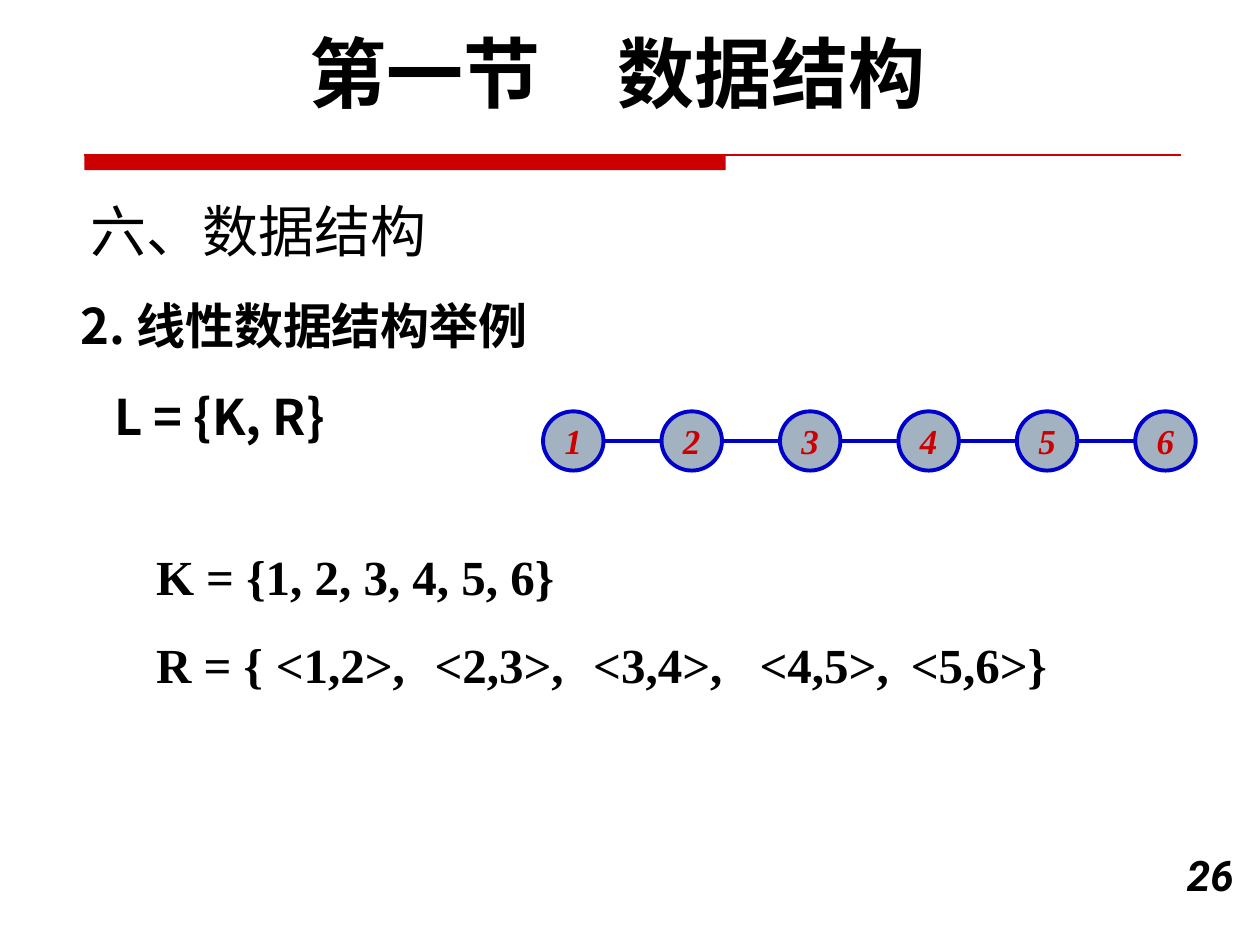
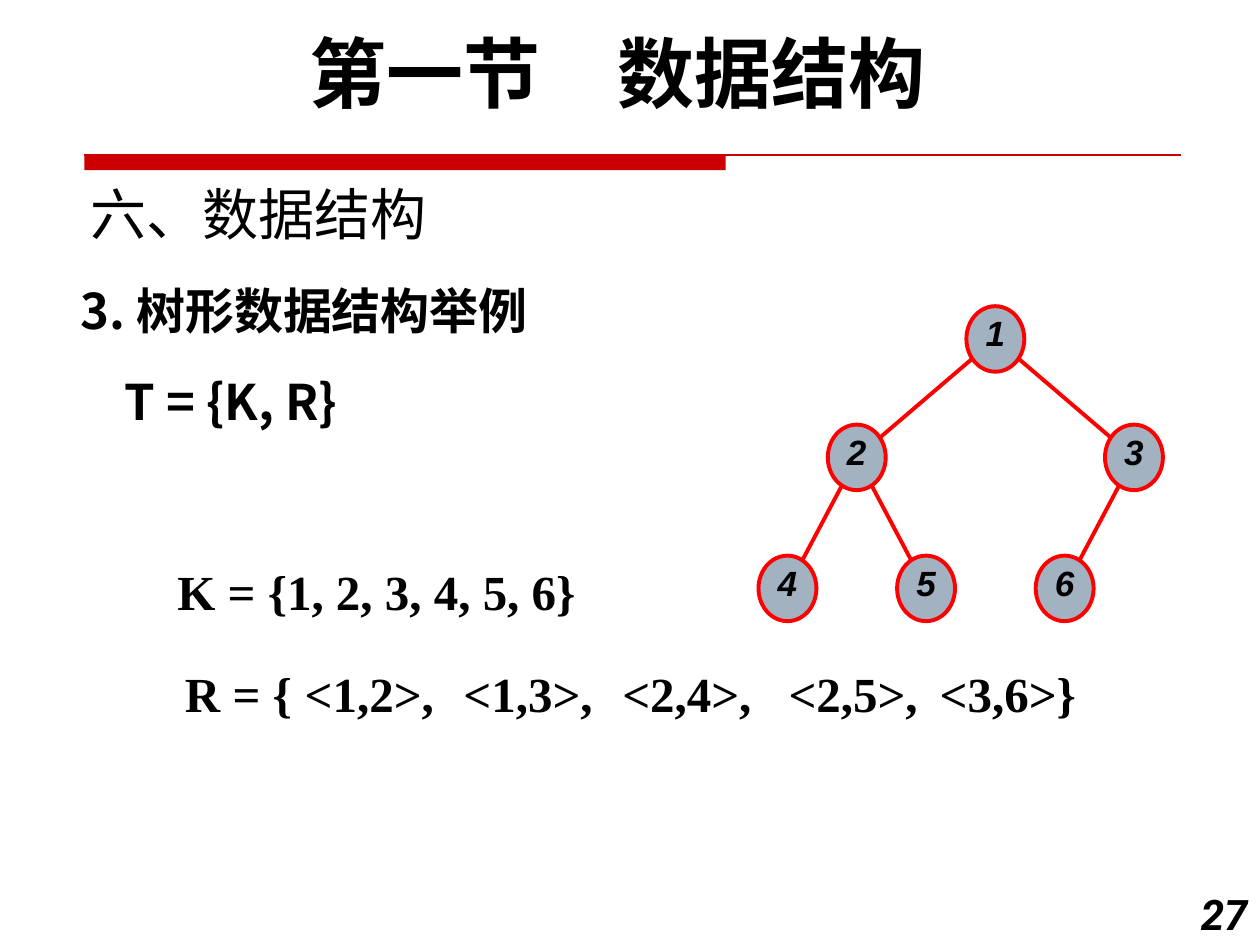
"""Build two slides on linear and tree data structures."""
from dataclasses import dataclass

import pptx
import pptx.dml.color
import pptx.enum.shapes
import pptx.enum.text
import pptx.util
from lxml import etree
from pptx.oxml.ns import qn
from pptx.util import Inches

ALIGN = pptx.enum.text.PP_ALIGN
ANCHOR = pptx.enum.text.MSO_ANCHOR
SHAPE = pptx.enum.shapes.MSO_SHAPE


@dataclass(frozen=True)
class Theme:
    """Colours, fonts and type sizes shared by the slides."""
    ink: str = "000000"
    band: str = "CC0000"
    node_fill: str = "A3B2C1"
    chain_line: str = "0000CC"
    tree_line: str = "FF0000"
    chinese: str = "Noto Sans CJK SC"
    display: str = "Roboto"
    formula: str = "Times New Roman"
    tree_label: str = "Arial"
    heading_size: int = 44
    title_size: int = 32
    body_size: int = 28
    page_size: int = 24
    node_size: int = 20
    node_weight: float = 2.25
    band_weight: float = 0.75


@dataclass(frozen=True)
class NodeStyle:
    """Look of the nodes and edges of one diagram."""
    width: float
    height: float
    line: str
    font: str
    ink: str
    trim: float
    bottom: float = 0


THEME = Theme()
CHAIN = NodeStyle(0.48, 0.47, THEME.chain_line, THEME.formula, THEME.band, 0.25)
TREE = NodeStyle(0.46, 0.52, THEME.tree_line, THEME.tree_label, THEME.ink, 0.1, 0.1)
PAIR_OFFSETS = (0.95, 2.21, 3.47, 4.79, 5.99)


def rgb(code):
    """Return a colour from its hexadecimal code."""
    return pptx.dml.color.RGBColor.from_string(code)


def style_paragraph(paragraph, font_name, size, color=THEME.ink, bold=True,
                    italic=False, align=ALIGN.LEFT):
    """Set the font and alignment of a paragraph."""
    paragraph.alignment = align
    font = paragraph.font
    font.name, font.size = font_name, pptx.util.Pt(size)
    font.bold, font.italic = bold, italic
    font.color.rgb = rgb(color)
    east_asian = etree.SubElement(font._element, qn("a:ea"))
    east_asian.set("typeface", THEME.chinese)


def add_text(slide, box, lines, font_name, size, **style):
    """Add a wrapping text box and return its paragraphs."""
    frame = slide.shapes.add_textbox(*map(Inches, box)).text_frame
    frame.word_wrap = True
    frame.text = "\n".join(lines)
    for paragraph in frame.paragraphs:
        style_paragraph(paragraph, font_name, size, **style)
    return frame.paragraphs


def add_line(slide, start, end, color, weight):
    """Draw a straight line without a shadow."""
    line = slide.shapes.add_connector(
        pptx.enum.shapes.MSO_CONNECTOR.STRAIGHT, *map(Inches, (*start, *end)))
    line.line.color.rgb = rgb(color)
    line.line.width = pptx.util.Pt(weight)
    etree.SubElement(line._element.spPr, qn("a:effectLst"))


def add_band(slide):
    """Draw the red band and thin rule under the heading."""
    band = slide.shapes.add_shape(
        SHAPE.RECTANGLE, *map(Inches, (0.67, 1.23, 5.09, 0.12)))
    band.shadow.inherit = False
    band.fill.solid()
    band.fill.fore_color.rgb = rgb(THEME.band)
    band.line.fill.background()
    add_line(slide, (0.67, 1.23), (9.37, 1.23), THEME.band, THEME.band_weight)


def add_slide(presentation, title_top, page, page_corner):
    """Add a slide with heading, band, title and page number."""
    slide = presentation.slides.add_slide(presentation.slide_layouts[5])
    add_band(slide)
    title = slide.shapes.title
    title.left, title.top, title.width, title.height = map(
        Inches, (0.62, title_top, 6.75, 0.75))
    frame = title.text_frame
    frame.text = "六、数据结构"
    frame.vertical_anchor = ANCHOR.BOTTOM
    frame.auto_size = pptx.enum.text.MSO_AUTO_SIZE.NONE
    style_paragraph(frame.paragraphs[0], THEME.chinese, THEME.title_size, bold=False)
    add_text(slide, (0.28, 0.15, 9.25, 0.84), ["第一节\u3000数据结构".replace("\u3000", "　")],
             THEME.display, THEME.heading_size, align=ALIGN.CENTER)
    add_text(slide, (*page_corner, 0.67, 0.5), [page], THEME.display,
             THEME.page_size, italic=True, align=ALIGN.RIGHT)
    return slide


def add_example(slide, top, heading, definition, indent):
    """Add the example heading and the definition under it."""
    paragraphs = add_text(slide, (0.54, top, 9, 1.3), [heading, definition],
                          THEME.chinese, THEME.body_size)
    paragraphs[1].space_before = pptx.util.Pt(18)
    paragraphs[1]._p.get_or_add_pPr().set("marL", str(Inches(indent)))


def add_sets(slide, node_corner, pair_corner, pairs):
    """Write the node set K and the relation set R."""
    def write(left, top, width, text):
        """Write one piece of a formula."""
        add_text(slide, (left, top, width, 0.57), [text], THEME.formula,
                 THEME.body_size)

    write(*node_corner, 7.64, "K = {1, 2, 3, 4, 5, 6}")
    left, top = pair_corner
    write(left, top, 1.1, "R = {")
    for offset, (start, end) in zip(PAIR_OFFSETS, pairs):
        mark = "}" if (start, end) == pairs[-1] else ","
        write(left + offset, top, 1.42, f"<{start},{end}>{mark}")


def add_node(slide, center, label, style):
    """Draw one labelled node."""
    x, y = center
    node = slide.shapes.add_shape(SHAPE.OVAL, *map(Inches, (
        x - style.width / 2, y - style.height / 2, style.width, style.height)))
    node.shadow.inherit = False
    node.fill.solid()
    node.fill.fore_color.rgb = rgb(THEME.node_fill)
    node.line.color.rgb = rgb(style.line)
    node.line.width = pptx.util.Pt(THEME.node_weight)
    frame = node.text_frame
    frame.margin_left = frame.margin_right = frame.margin_top = 0
    frame.margin_bottom = Inches(style.bottom)
    frame.vertical_anchor = ANCHOR.MIDDLE
    frame.word_wrap = False
    frame.text = str(label)
    style_paragraph(frame.paragraphs[0], style.font, THEME.node_size,
                    style.ink, italic=True, align=ALIGN.CENTER)


def add_graph(slide, centers, edges, style):
    """Draw the edges, then the nodes over their ends."""
    for start, end in edges:
        (x1, y1), (x2, y2) = centers[start], centers[end]
        dx, dy = (x2 - x1) * style.trim, (y2 - y1) * style.trim
        add_line(slide, (x1 + dx, y1 + dy), (x2 - dx, y2 - dy),
                 style.line, THEME.node_weight)
    for label, center in centers.items():
        add_node(slide, center, label, style)


def add_linear_slide(presentation):
    """Build the linear structure slide."""
    slide = add_slide(presentation, 1.39, "26", (9.22, 6.69))
    add_example(slide, 2.3, "2. 线性数据结构举例", "L = {K, R}", 0.27)
    pairs = [(number, number + 1) for number in range(1, 6)]
    centers = {number: (4.55 + 0.94 * (number - 1), 3.5) for number in range(1, 7)}
    add_graph(slide, centers, pairs, CHAIN)
    add_sets(slide, (1.14, 4.29), (1.14, 4.99), pairs)


def add_tree_slide(presentation):
    """Build the tree structure slide."""
    slide = add_slide(presentation, 1.26, "27", (9.33, 7))
    add_example(slide, 2.18, "3. 树形数据结构举例", "T = {K, R}", 0.35)
    pairs = [(1, 2), (1, 3), (2, 4), (2, 5), (3, 6)]
    centers = {1: (7.9, 2.69), 2: (6.8, 3.63), 3: (9, 3.63),
               4: (6.25, 4.67), 5: (7.35, 4.67), 6: (8.45, 4.67)}
    add_graph(slide, centers, pairs, TREE)
    add_sets(slide, (1.31, 4.41), (1.37, 5.22), pairs)


def main():
    """Build and save the presentation."""
    presentation = pptx.Presentation()
    presentation.slide_width, presentation.slide_height = Inches(10), Inches(7.5)
    add_linear_slide(presentation)
    add_tree_slide(presentation)
    presentation.save("out.pptx")


if __name__ == "__main__":
    main()
